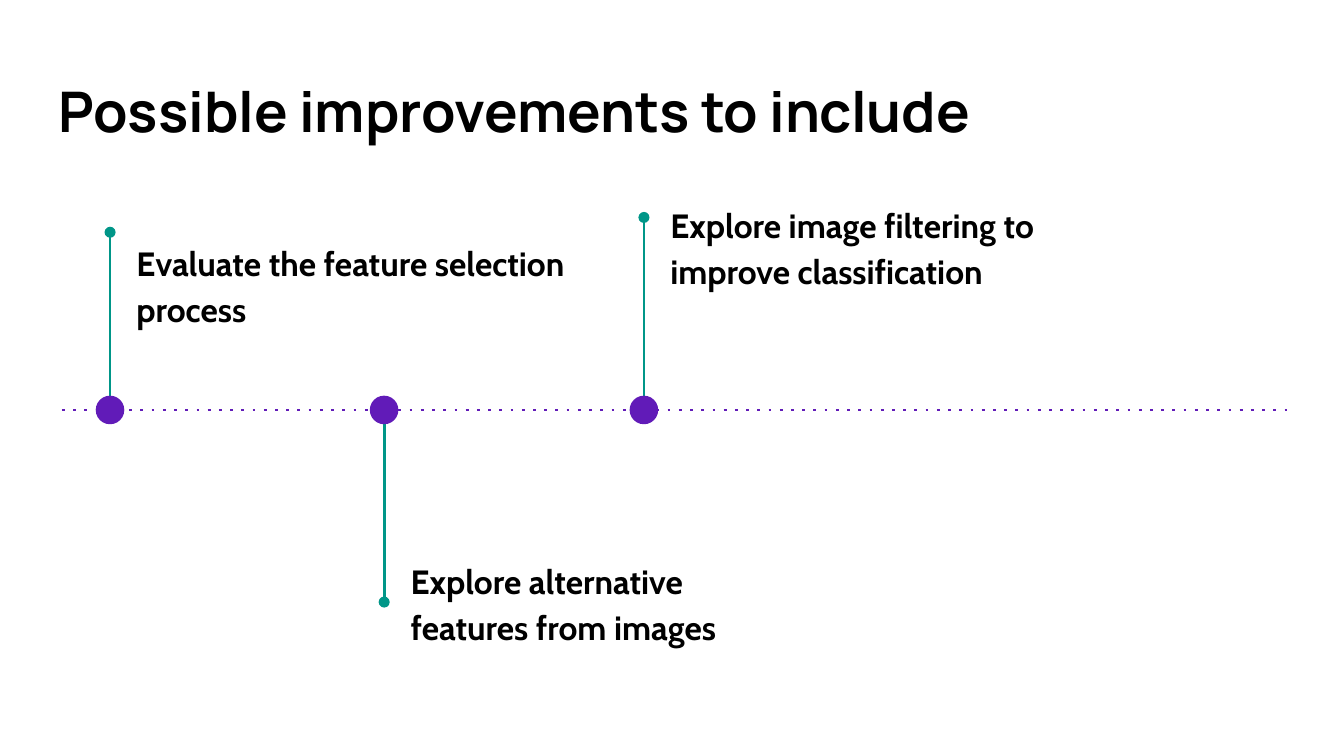
"""Builds a timeline slide of possible improvements."""
from lxml.etree import SubElement
from pptx import Presentation
from pptx.dml.color import RGBColor
from pptx.enum.shapes import MSO_CONNECTOR as Link, MSO_SHAPE as Kind
from pptx.enum.text import MSO_ANCHOR as Anchor
from pptx.oxml.ns import qn
from pptx.util import Cm, Pt

TITLE = "Possible improvements to include"
ITEMS = [
    # stem x, tip y, text top, text width, text height, text
    (2.08, 4.39, 4.22, 9.27, 2.39, "Evaluate the feature selection process"),
    (7.26, 11.38, 10.24, 7.39, 2.69, "Explore alternative features from images"),
    (12.17, 4.11, 3.51, 8.43, 2.69, "Explore image filtering to improve classification"),
]
BLACK, VIOLET, TEAL = "000000", "611BB8", "009688"
AXIS, LEFT, RIGHT = 7.75, 1.17, 24.33
DOT, GAP = 0.54, 0.25


def tint(fill, color):
    fill.solid()
    fill.fore_color.rgb = RGBColor.from_string(color)


def add_text(shapes, box, text, font, size, space=1.0):
    frame = shapes.add_textbox(*map(Cm, box)).text_frame
    frame.word_wrap = True
    frame.vertical_anchor = Anchor.TOP
    frame.margin_left = frame.margin_right = Cm(0.25)
    frame.margin_top = frame.margin_bottom = Cm(0.25)
    para = frame.paragraphs[0]
    para.text = text
    para.line_spacing = space
    para.font.name, para.font.size, para.font.bold = font, Pt(size), True
    tint(para.font.fill, BLACK)


def add_line(shapes, ends, color, tag, kind):
    line = shapes.add_connector(Link.STRAIGHT, *map(Cm, ends))
    line.line.width = Pt(1.5)
    tint(line.line.fill, color)
    props = line._element.spPr
    SubElement(props.find(qn("a:ln")), qn(tag), **kind)
    SubElement(props, qn("a:effectLst"))


def add_dot(shapes, x):
    box = x - DOT / 2, AXIS - DOT / 2, DOT, DOT
    dot = shapes.add_shape(Kind.OVAL, *map(Cm, box))
    dot.shadow.inherit = False
    tint(dot.fill, VIOLET)
    dot.line.fill.background()


def main():
    deck = Presentation()
    deck.slide_width, deck.slide_height = Cm(25.4), Cm(14.29)
    shapes = deck.slides.add_slide(deck.slide_layouts[6]).shapes
    add_text(shapes, (0.86, 1.19, 23.67, 1.73), TITLE, "Manrope", 30)
    add_line(shapes, (LEFT, AXIS, RIGHT, AXIS), VIOLET, "a:prstDash", {"val": "dot"})
    for x, tip, top, width, height, text in ITEMS:
        mark = shapes.add_group_shape().shapes
        edge = AXIS + (DOT / 2 if tip > AXIS else -DOT / 2)
        add_line(mark, (x, edge, x, tip), TEAL, "a:tailEnd", {"type": "oval"})
        add_dot(mark, x)
        add_text(shapes, (x + GAP, top, width, height), text, "Cabin", 18, 1.15)
    deck.save("out.pptx")


if __name__ == "__main__":
    main()
